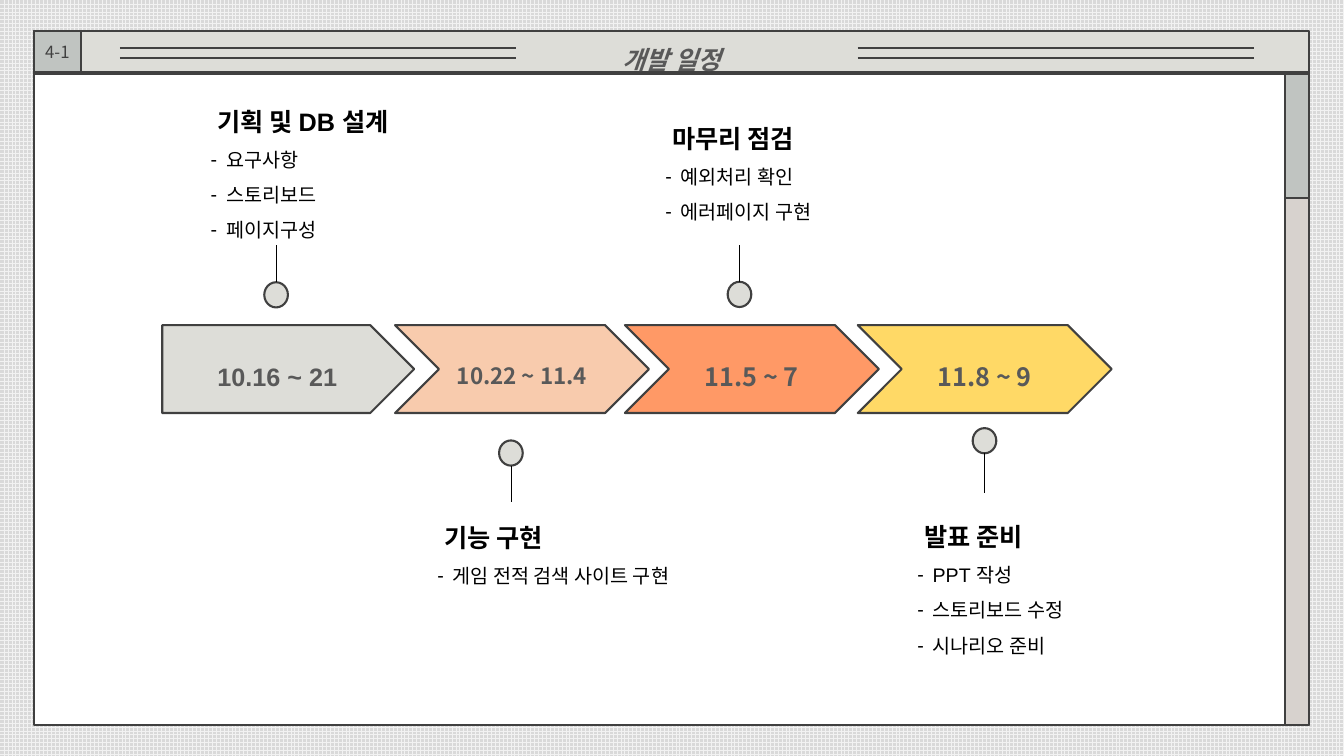
from dataclasses import dataclass

from lxml import etree
from pptx import Presentation
from pptx import util as u
from pptx.dml.color import RGBColor
from pptx.enum import dml, shapes, text
from pptx.oxml import ns


@dataclass(frozen=True)
class Theme:
    ink: str = "404040"
    label: str = "595959"
    black: str = "000000"
    white: str = "FFFFFF"
    stone: str = "DDDDD8"
    sage: str = "C0C4C1"
    track: str = "D7D2CE"
    peach: str = "F8CBAD"
    orange: str = "FF9966"
    yellow: str = "FFD966"
    grid: str = "F2F2F2"
    paper: str = "D9D9D9"
    latin: str = "Arial"
    korean: str = "Noto Sans CJK KR"
    heading: float = 18
    compact: float = 16
    item: float = 14
    tag: float = 12
    outline: float = 1.5
    rule: float = 1
    stem: float = 0.5


THEME = Theme()
KIND = shapes.MSO_SHAPE


@dataclass(frozen=True)
class Box:
    left: float
    top: float
    width: float
    height: float


@dataclass(frozen=True)
class Panel:
    box: Box
    fill: str


@dataclass(frozen=True)
class Phase:
    kind: shapes.MSO_SHAPE
    left: float
    width: float
    dates: str
    fill: str
    font: str = THEME.korean
    size: float = THEME.heading


@dataclass(frozen=True)
class Callout:
    placeholder: int
    box: Box
    heading: str
    items: tuple[str, ...]
    font: str
    marker_left: float
    marker_top: float
    stem_start: float
    stem_end: float


TITLE_BOX = Box(24.5, 22.3, 910.8, 29.5)
TAG = Panel(Box(24.5, 22.3, 33.1, 29.5), THEME.sage)
PANELS = (
    Panel(Box(24.5, 52.5, 910.8, 465.1), THEME.white),
    Panel(Box(918, 52.5, 17.3, 465.1), THEME.track),
    Panel(Box(918, 52.5, 17.3, 89.3), THEME.sage),
)
RULE_LEFTS = (85.7, 612.7)
RULE_TOPS = (34.2, 41.5)
RULE_WIDTH = 283
PHASE_TOP, PHASE_HEIGHT = 232.2, 62.8
MARKER_WIDTH, MARKER_HEIGHT = 16.9, 18
PHASES = (
    Phase(KIND.PENTAGON, 115.9, 180, "10.16 ~ 21", THEME.stone, THEME.latin),
    Phase(KIND.CHEVRON, 282.2, 181.4, "10.22 ~ 11.4", THEME.peach, size=THEME.compact),
    Phase(KIND.CHEVRON, 446.4, 181.4, "11.5 ~ 7", THEME.orange),
    Phase(KIND.CHEVRON, 612.7, 181.4, "11.8 ~ 9", THEME.yellow),
)
CALLOUTS = (
    Callout(1, Box(143.3, 61.2, 167, 116.6), "기획 및 DB 설계",
            ("요구사항", "스토리보드", "페이지구성"), THEME.korean, 188.8, 201.6, 201.6, 175),
    Callout(2, Box(468, 73.4, 216.7, 90.7), "마무리 점검",
            ("예외처리 확인", "에러페이지 구현"), THEME.korean, 519.8, 201.3, 201.3, 175),
    Callout(3, Box(305.3, 358.6, 200.9, 65.5), "기능 구현",
            ("게임 전적 검색 사이트 구현",), THEME.latin, 356.5, 314.6, 332.6, 358.6),
    Callout(4, Box(648, 357.8, 167, 116.6), "발표 준비",
            ("PPT 작성", "스토리보드 수정", "시나리오 준비"), THEME.latin, 694.8, 305.8, 323.8, 352.1),
)


def apply_format(target: object, values: dict) -> None:
    for name, value in values.items():
        setattr(target, name, value)


def place(shape, box: Box) -> None:
    apply_format(shape, {side: u.Pt(getattr(box, side))
                         for side in ("left", "top", "width", "height")})


def paint(shape, fill: str) -> None:
    shape.fill.solid()
    shape.fill.fore_color.rgb = RGBColor.from_string(fill)
    shape.line.color.rgb = RGBColor.from_string(THEME.ink)
    shape.line.width = u.Pt(THEME.outline)


def write(paragraph, wording: str, size: float, color: str, font: str,
          bold: bool = False, italic: bool = False, spacing: float = 1.5,
          align=text.PP_ALIGN.CENTER) -> None:
    apply_format(paragraph, {"alignment": align, "line_spacing": spacing,
                             "space_before": u.Pt(0), "space_after": u.Pt(0)})
    run = paragraph.add_run()
    run.text = wording
    run.font.color.rgb = RGBColor.from_string(color)
    apply_format(run.font, {"size": u.Pt(size), "name": font, "bold": bold, "italic": italic})
    etree.SubElement(run._r.get_or_add_rPr(), ns.qn("a:ea"), typeface=THEME.korean)


def set_bullet(paragraph, margin: float, indent: float, mark: str = "") -> None:
    properties = paragraph._p.get_or_add_pPr()
    properties.set("marL", str(u.Pt(margin)))
    properties.set("indent", str(u.Pt(indent)))
    if mark:
        etree.SubElement(properties, ns.qn("a:buFont"), typeface=THEME.latin)
        etree.SubElement(properties, ns.qn("a:buChar"), char=mark)
    else:
        etree.SubElement(properties, ns.qn("a:buNone"))


def add_block(slide, kind: shapes.MSO_SHAPE, box: Box, fill: str):
    shape = slide.shapes.add_shape(kind, *(u.Pt(v) for v in (box.left, box.top, box.width, box.height)))
    shape.shadow.inherit = False
    paint(shape, fill)
    shape.text_frame.vertical_anchor = text.MSO_ANCHOR.MIDDLE
    return shape


def add_line(slide, start: tuple[float, float], end: tuple[float, float],
             color: str, width: float) -> None:
    line = slide.shapes.add_connector(shapes.MSO_CONNECTOR.STRAIGHT,
                                      *(u.Pt(v) for v in start + end))
    line.line.color.rgb = RGBColor.from_string(color)
    line.line.width = u.Pt(width)
    etree.SubElement(line.element.spPr, ns.qn("a:effectLst"))


def add_frame(slide) -> None:
    title = slide.shapes.title
    place(title, TITLE_BOX)
    paint(title, THEME.stone)
    apply_format(title.text_frame, {"vertical_anchor": text.MSO_ANCHOR.MIDDLE,
                                    "auto_size": text.MSO_AUTO_SIZE.NONE})
    write(title.text_frame.paragraphs[0], "개발 일정", THEME.heading, THEME.label,
          THEME.korean, bold=True, italic=True)
    tag = add_block(slide, KIND.RECTANGLE, TAG.box, TAG.fill)
    apply_format(tag.text_frame, {"margin_left": u.Pt(0), "margin_right": u.Pt(0)})
    write(tag.text_frame.paragraphs[0], "4-1", THEME.tag, THEME.ink, THEME.korean, spacing=1.0)
    for panel in PANELS:
        add_block(slide, KIND.RECTANGLE, panel.box, panel.fill)
    for left in RULE_LEFTS:
        for top in RULE_TOPS:
            add_line(slide, (left, top), (left + RULE_WIDTH, top), THEME.ink, THEME.rule)


def add_phase(slide, phase: Phase) -> None:
    box = Box(phase.left, PHASE_TOP, phase.width, PHASE_HEIGHT)
    arrow = add_block(slide, phase.kind, box, phase.fill)
    write(arrow.text_frame.paragraphs[0], phase.dates, phase.size, THEME.label,
          phase.font, bold=True)


def add_callout(slide, callout: Callout) -> None:
    marker = Box(callout.marker_left, callout.marker_top, MARKER_WIDTH, MARKER_HEIGHT)
    add_block(slide, KIND.FLOWCHART_CONNECTOR, marker, THEME.stone)
    center = marker.left + marker.width / 2
    add_line(slide, (center, callout.stem_start), (center, callout.stem_end),
             THEME.black, THEME.stem)
    body = slide.placeholders[callout.placeholder]
    place(body, callout.box)
    body.element.getparent().append(body.element)
    frame = body.text_frame
    apply_format(frame, {"word_wrap": True, "vertical_anchor": text.MSO_ANCHOR.TOP,
                         "auto_size": text.MSO_AUTO_SIZE.SHAPE_TO_FIT_TEXT})
    heading = frame.paragraphs[0]
    write(heading, callout.heading, THEME.heading, THEME.black, THEME.latin,
          bold=True, align=text.PP_ALIGN.LEFT)
    set_bullet(heading, 5, 0)
    for wording in callout.items:
        item = frame.add_paragraph()
        write(item, wording, THEME.item, THEME.black, callout.font, align=text.PP_ALIGN.LEFT)
        set_bullet(item, 11, -11, "-")


def main() -> None:
    presentation = Presentation()
    apply_format(presentation, {"slide_width": u.Pt(960), "slide_height": u.Pt(540)})
    slide = presentation.slides.add_slide(presentation.slide_layouts.get_by_name("Comparison"))
    backdrop = slide.background.fill
    backdrop.patterned()
    backdrop.pattern = dml.MSO_PATTERN.LARGE_GRID
    backdrop.fore_color.rgb = RGBColor.from_string(THEME.grid)
    backdrop.back_color.rgb = RGBColor.from_string(THEME.paper)
    add_frame(slide)
    for phase in PHASES:
        add_phase(slide, phase)
    for callout in CALLOUTS:
        add_callout(slide, callout)
    presentation.save("out.pptx")


if __name__ == "__main__":
    main()
